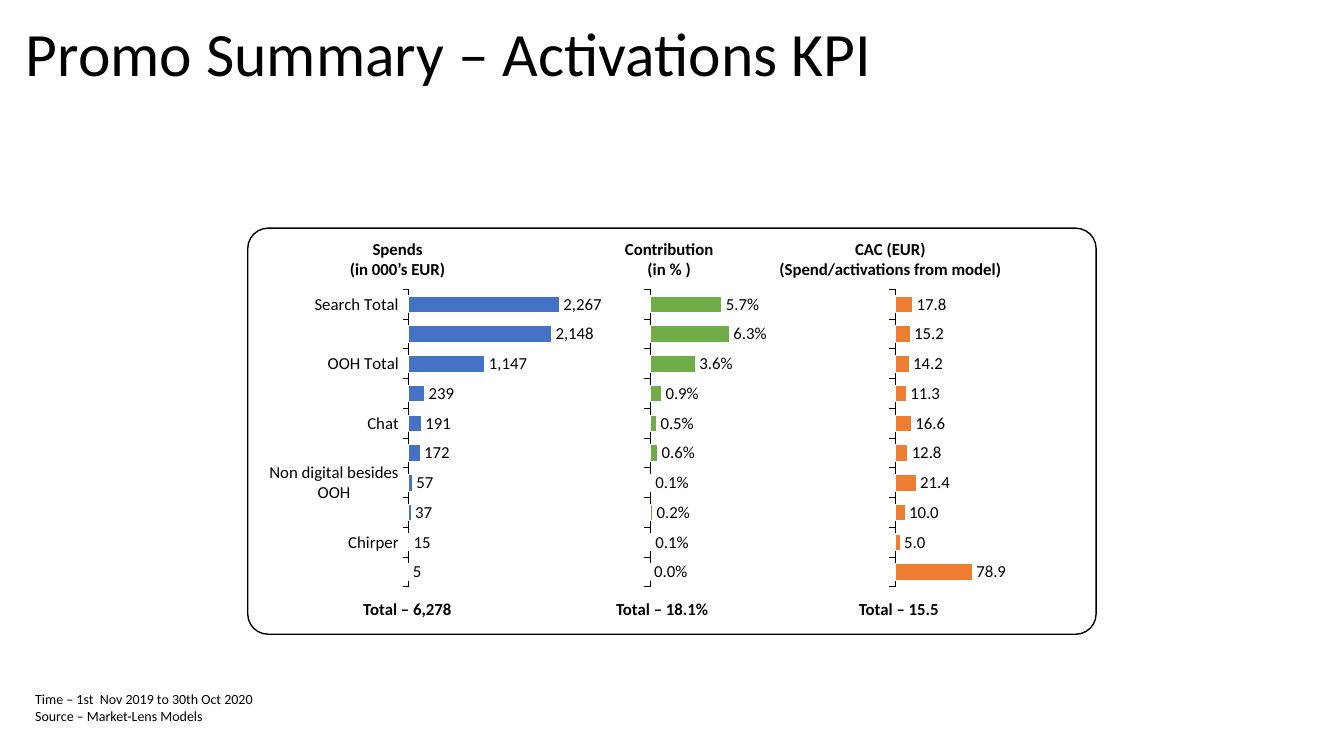
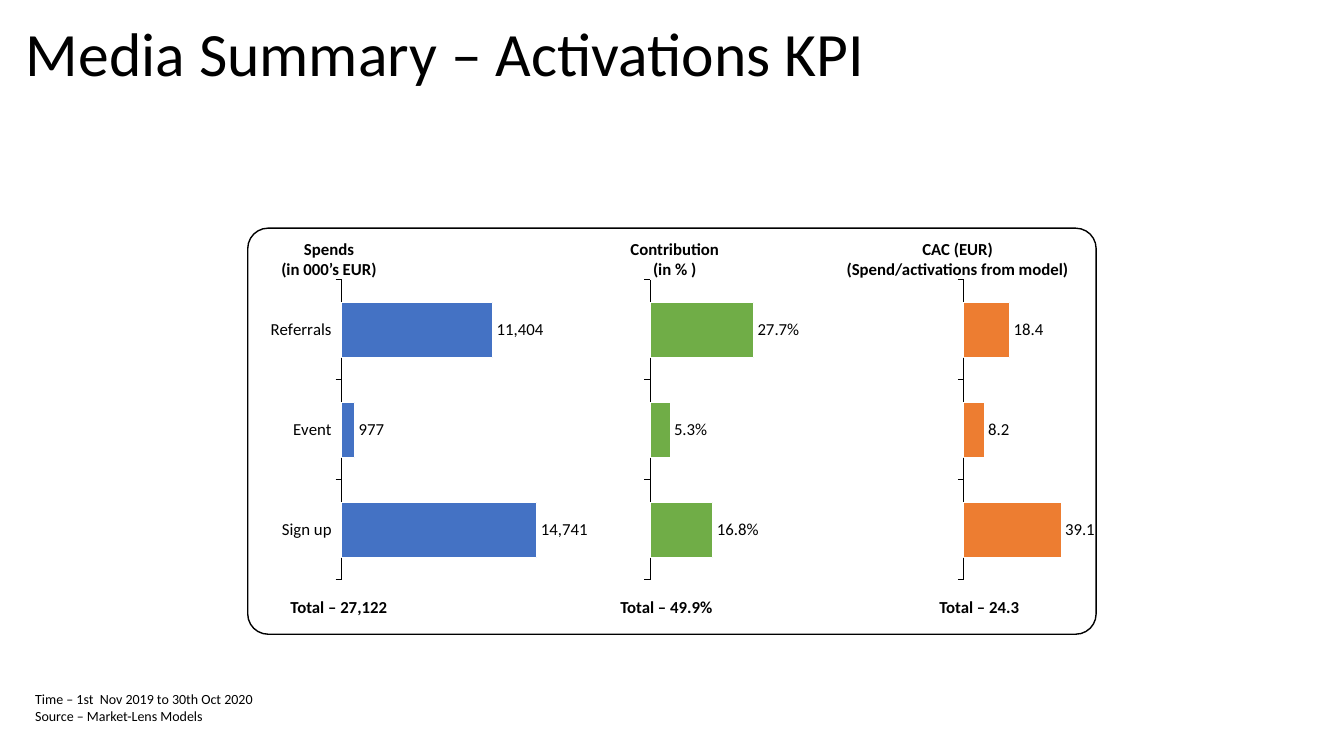
"""Build two KPI summary slides, each with three aligned bar charts."""
from dataclasses import dataclass

from lxml import etree
from pptx import Presentation
from pptx.chart.data import CategoryChartData
from pptx.dml.color import RGBColor
from pptx.enum.chart import XL_CHART_TYPE, XL_LABEL_POSITION, XL_TICK_LABEL_POSITION, XL_TICK_MARK
from pptx.enum.shapes import MSO_SHAPE
from pptx.enum.text import MSO_ANCHOR, PP_ALIGN
from pptx.oxml import parse_xml
from pptx.oxml.ns import nsdecls, qn
from pptx.util import Pt

BAR = XL_CHART_TYPE.BAR_CLUSTERED
OUTSIDE_END = XL_LABEL_POSITION.OUTSIDE_END
NO_LABELS, LOW_LABELS = XL_TICK_LABEL_POSITION.NONE, XL_TICK_LABEL_POSITION.LOW
TICK_OUT, TICK_NONE = XL_TICK_MARK.OUTSIDE, XL_TICK_MARK.NONE
ROUNDED = MSO_SHAPE.ROUNDED_RECTANGLE
TOP, MIDDLE = MSO_ANCHOR.TOP, MSO_ANCHOR.MIDDLE
LEFT, CENTER = PP_ALIGN.LEFT, PP_ALIGN.CENTER


@dataclass(frozen=True)
class Theme:
    """Colours, font and type sizes of the deck."""
    ink: RGBColor = RGBColor(0, 0, 0)
    paper: RGBColor = RGBColor(255, 255, 255)
    spend: RGBColor = RGBColor(0x44, 0x72, 0xC4)
    contribution: RGBColor = RGBColor(0x70, 0xAD, 0x47)
    cost: RGBColor = RGBColor(0xED, 0x7D, 0x31)
    font: str = "Calibri"
    title: int = 44
    body: int = 12
    note: int = 10


@dataclass(frozen=True)
class Box:
    """A rectangle in points."""
    left: float
    top: float
    width: float
    height: float

    def inner(self, left, top, width, height):
        """Return a box placed relative to this one."""
        return Box(self.left + left, self.top + top, width, height)

    def lengths(self):
        """Return the four lengths for a shape call."""
        return [Pt(value) for value in (self.left, self.top, self.width, self.height)]


@dataclass(frozen=True)
class Measure:
    """What one column of bars shows."""
    heading: tuple
    color: RGBColor
    number_format: str
    plot_width: float


@dataclass(frozen=True)
class Column:
    """Values of one column and its horizontal places inside the panel."""
    values: tuple
    maximum: float
    total: str
    axis_x: float
    heading_x: float
    total_x: float
    chart_width: float


@dataclass(frozen=True)
class Rows:
    """Vertical places inside the panel."""
    chart_top: float
    chart_height: float
    total_top: float


THEME = Theme()
TITLE_BOX = Box(11.5, 13, 864, 62)
NOTE_BOX = Box(18, 489.5, 480, 32)
PANEL_BOX = Box(177, 163, 606, 290)
PLOT_LEFT, PLOT_TOP, PLOT_HEIGHT = 0.345, 0.114, 0.857
TEXT_WIDTH = 220
NOTE_LINES = ("Time – 1st  Nov 2019 to 30th Oct 2020", "Source – Market-Lens Models")
MEASURES = (
    Measure(("Spends", "(in 000’s EUR)"), THEME.spend, "#,##0", 0.392),
    Measure(("Contribution", "(in % )"), THEME.contribution, "0.0%", 0.323),
    Measure(("CAC (EUR)", "(Spend/activations from model)"), THEME.cost, "#,##0.0", 0.323),
)
PROMO_CATEGORIES = (
    "Search Total", "", "OOH Total", "", "Chat", "", "Non digital besides OOH", "", "Chirper", "",
)
PROMO_COLUMNS = (
    Column((2267, 2148, 1147, 239, 191, 172, 57, 37, 15, 5), 2500,
           "Total – 6,278", 115, 107, 114, 303),
    Column((0.057, 0.063, 0.036, 0.009, 0.005, 0.006, 0.001, 0.002, 0.001, 0), 0.07,
           "Total – 18.1%", 287.5, 301, 296, 194.5),
    Column((17.8, 15.2, 14.2, 11.3, 16.6, 12.8, 21.4, 10, 5, 78.9), 90,
           "Total – 15.5", 462.5, 459, 465, 194.5),
)
MEDIA_CATEGORIES = ("Referrals", "Event", "Sign up")
MEDIA_COLUMNS = (
    Column((11404, 977, 14741), 16000, "Total – 27,122", 67, 58, 65, 386.5),
    Column((0.277, 0.053, 0.168), 0.3, "Total – 49.9%", 287.5, 305, 299, 247.5),
    Column((18.4, 8.2, 39.1), 45, "Total – 24.3", 511.5, 507, 522.5, 247.5),
)


def add_text(page, box, lines, size, bold=False, align=LEFT, anchor=TOP, spacing=None):
    """Write one paragraph for each line into a text box."""
    frame = page.shapes.add_textbox(*box.lengths()).text_frame
    frame.word_wrap = True
    frame.vertical_anchor = anchor
    for index, line in enumerate(lines):
        para = frame.add_paragraph() if index else frame.paragraphs[0]
        para.alignment = align
        if spacing:
            para.line_spacing = spacing
        span = para.add_run()
        span.text = line
        span.font.name = THEME.font
        span.font.size = Pt(size)
        span.font.bold = bold
        span.font.color.rgb = THEME.ink


def set_font(font, size):
    """Apply the deck font to a part of a chart."""
    font.name = THEME.font
    font.size = Pt(size)
    font.bold = False
    font.color.rgb = THEME.ink


def set_plot_layout(chart, width):
    """Fix the inner plot area and make the chart backgrounds clear."""
    clear = f'<c:spPr {nsdecls("c", "a")}><a:noFill/><a:ln><a:noFill/></a:ln></c:spPr>'
    area = chart._chartSpace.chart.plotArea
    for old in area.findall(qn("c:layout")):
        area.remove(old)
    layout = parse_xml(f'<c:layout {nsdecls("c")}><c:manualLayout/></c:layout>')
    settings = (("layoutTarget", "inner"), ("xMode", "edge"), ("yMode", "edge"),
                ("x", PLOT_LEFT), ("y", PLOT_TOP), ("w", width), ("h", PLOT_HEIGHT))
    for name, value in settings:
        etree.SubElement(layout[0], qn(f"c:{name}")).set("val", str(value))
    area.insert(0, layout)
    area.append(parse_xml(clear))
    chart._chartSpace.chart.addnext(parse_xml(clear))


def add_bars(page, box, measure, column, categories, labelled):
    """Draw one bar chart with its values at the bar ends."""
    data = CategoryChartData(number_format=measure.number_format)
    data.categories = categories if labelled else [""] * len(categories)
    data.add_series(measure.heading[0], column.values)
    chart = page.shapes.add_chart(BAR, *box.lengths(), data).chart
    chart.has_legend = False
    chart.has_title = False
    set_font(chart.font, THEME.note)

    names = chart.category_axis
    names.reverse_order = True
    names.has_major_gridlines = False
    names.major_tick_mark, names.minor_tick_mark = TICK_OUT, TICK_NONE
    names.tick_label_position = LOW_LABELS if labelled else NO_LABELS
    names.format.line.color.rgb = THEME.ink
    names.format.line.width = Pt(0.75)
    set_font(names.tick_labels.font, THEME.body)

    scale = chart.value_axis
    scale.minimum_scale, scale.maximum_scale = 0, column.maximum
    scale.has_major_gridlines = False
    scale.visible = False

    plot = chart.plots[0]
    plot.gap_width = 80
    plot.vary_by_categories = False
    plot.has_data_labels = True
    labels = plot.data_labels
    labels.show_value = True
    labels.position = OUTSIDE_END
    labels.number_format = measure.number_format
    labels.number_format_is_linked = False
    set_font(labels.font, THEME.body)

    series = plot.series[0]
    series.invert_if_negative = False
    series.format.fill.solid()
    series.format.fill.fore_color.rgb = measure.color
    series.format.line.color.rgb = THEME.paper
    series.format.line.width = Pt(0.75)
    set_plot_layout(chart, measure.plot_width)


def add_column(page, panel, measure, column, rows, categories, labelled):
    """Place a heading, a chart and a total inside the panel."""
    chart_left = column.axis_x - PLOT_LEFT * column.chart_width
    chart_box = panel.inner(chart_left, rows.chart_top, column.chart_width, rows.chart_height)
    add_bars(page, chart_box, measure, column, categories, labelled)
    texts = ((measure.heading, column.heading_x, 4, 36),
             ((column.total,), column.total_x, rows.total_top, 22))
    for lines, center, top, height in texts:
        box = panel.inner(center - TEXT_WIDTH / 2, top, TEXT_WIDTH, height)
        add_text(page, box, lines, THEME.body, True, CENTER, MIDDLE)


def add_panel(page, box):
    """Draw the rounded frame around the charts."""
    frame = page.shapes.add_shape(ROUNDED, *box.lengths())
    frame.shadow.inherit = False
    frame.adjustments[0] = 0.05
    frame.fill.background()
    frame.line.color.rgb = THEME.ink
    frame.line.width = Pt(1)


def add_summary(deck, title, categories, columns, rows):
    """Add one summary slide."""
    page = deck.slides.add_slide(deck.slide_layouts[6])
    add_text(page, TITLE_BOX, (title,), THEME.title, spacing=0.9)
    add_text(page, NOTE_BOX, NOTE_LINES, THEME.note)
    add_panel(page, PANEL_BOX)
    for index, (measure, column) in enumerate(zip(MEASURES, columns)):
        add_column(page, PANEL_BOX, measure, column, rows, categories, index == 0)


def main():
    """Build and save the deck."""
    deck = Presentation()
    deck.slide_width, deck.slide_height = Pt(960), Pt(540)
    add_summary(deck, "Promo Summary – Activations KPI", PROMO_CATEGORIES,
                PROMO_COLUMNS, Rows(15.5, 248, 261))
    add_summary(deck, "Media Summary – Activations KPI", MEDIA_CATEGORIES,
                MEDIA_COLUMNS, Rows(8.5, 250, 259.5))
    deck.save("out.pptx")


if __name__ == "__main__":
    main()
